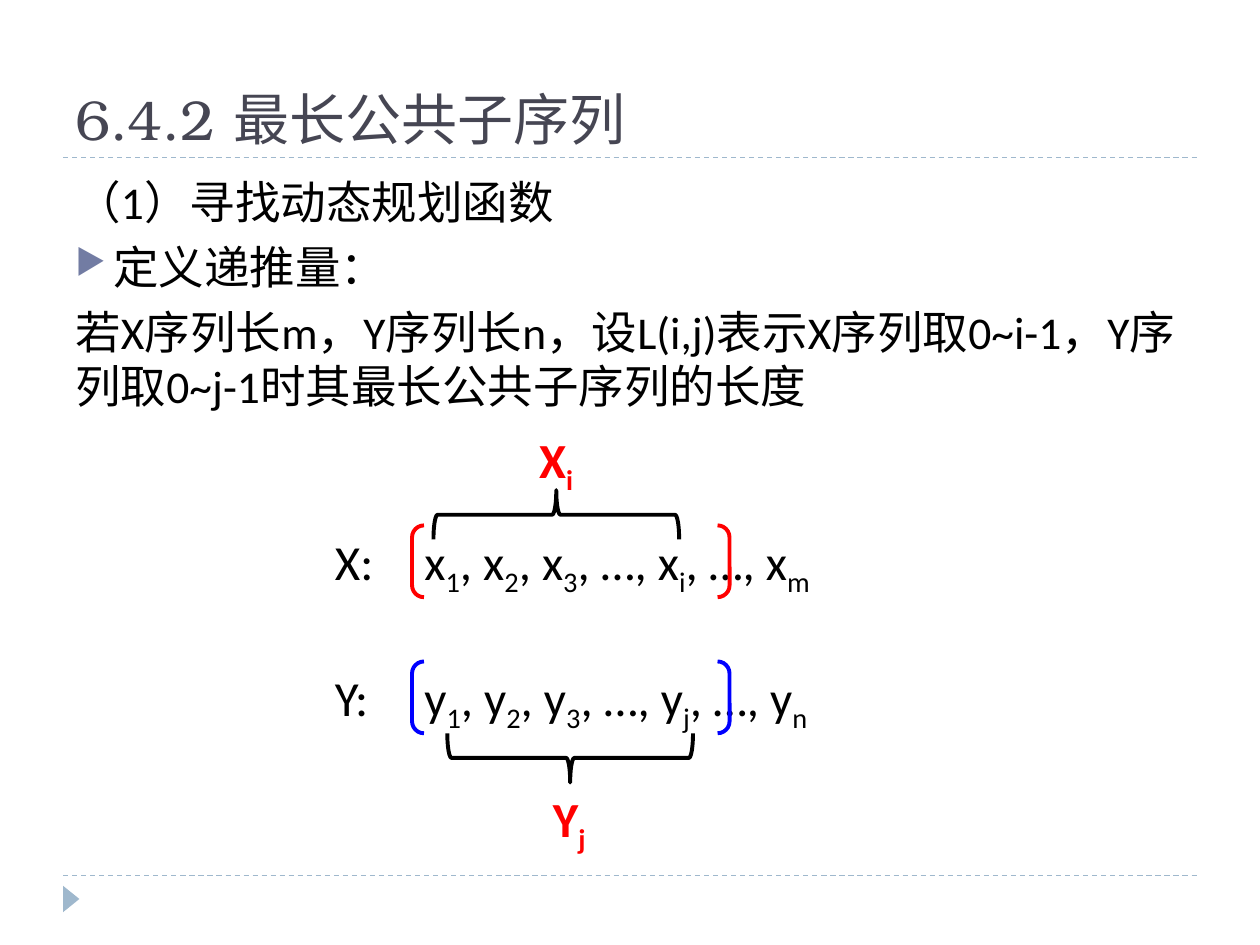
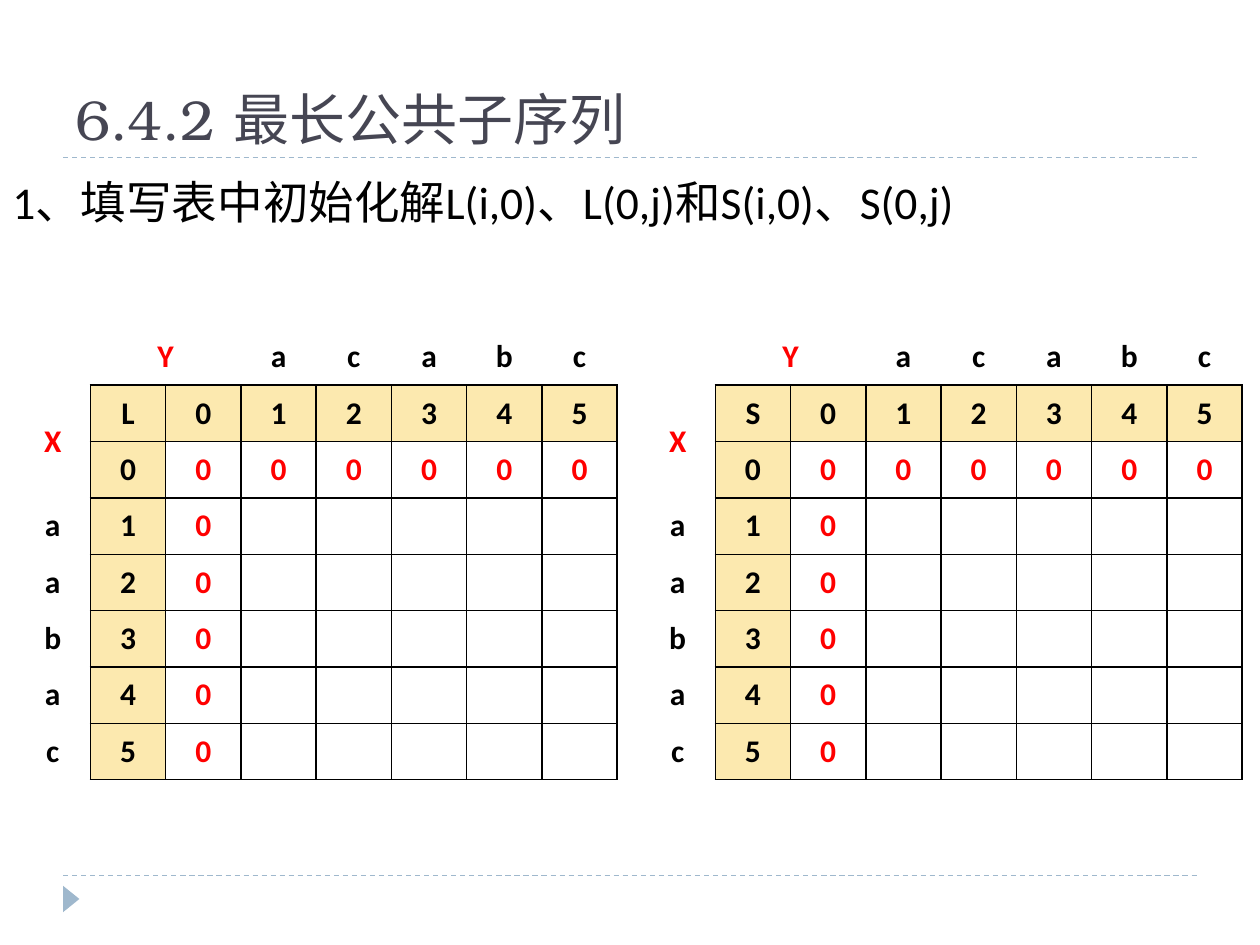
from lxml.etree import SubElement
from pptx import Presentation
from pptx.dml.color import RGBColor
from pptx.enum.dml import MSO_LINE
from pptx.enum.shapes import MSO_CONNECTOR, MSO_SHAPE
from pptx.enum.text import MSO_ANCHOR as Anchor, MSO_AUTO_SIZE as AutoSize, PP_ALIGN as Align
from pptx.oxml.ns import qn
from pptx.util import Inches, Pt

COLUMNS, ROWS = 20, 15
BLACK, WHITE, RED, BLUE = "000000", "FFFFFF", "FF0000", "0000FF"
TITLE_COLOR, BULLET_COLOR, RULE_COLOR, HEADER_FILL = "464653", "727CA3", "9FB8CD", "FCE9AF"

TITLE = {"name": "TeX Gyre Bonum", "size": Pt(32), "color": TITLE_COLOR}
BODY = {"name": "Calibri", "size": Pt(26), "color": BLACK}
FORMULA = {**BODY, "size": Pt(28)}
LABEL = {**FORMULA, "color": RED, "bold": True}
CELL = {**BODY, "size": Pt(18), "bold": True}


def rgb(color):
    return RGBColor.from_string(color)


def set_attributes(target, values):
    for name, value in values.items():
        setattr(target, name, value)


def add_run(paragraph, text, style, subscript=False):
    run = paragraph.add_run()
    run.text = text
    set_attributes(run.font, {key: value for key, value in style.items() if key != "color"})
    run.font.color.rgb = rgb(style["color"])
    if subscript:
        run.font._element.set("baseline", "-25000")


def add_formula(paragraph, text, style):
    """Write text in which an underscore lowers the one letter after it."""
    first, *pieces = text.split("_")
    add_run(paragraph, first, style)
    for piece in pieces:
        add_run(paragraph, piece[0], style, subscript=True)
        if piece[1:]:
            add_run(paragraph, piece[1:], style)


def add_bullet(paragraph):
    properties = paragraph._p.get_or_add_pPr()
    indent = Inches(0.3)
    properties.set("marL", str(indent))
    properties.set("indent", str(-indent))
    color = SubElement(properties, qn("a:buClr"))
    SubElement(color, qn("a:srgbClr"), val=BULLET_COLOR)
    SubElement(properties, qn("a:buSzPct"), val="76000")
    SubElement(properties, qn("a:buChar"), char="▶")


def set_borders(cell, colors):
    """Colour the left, right, top and bottom edges of a cell, in that order."""
    properties = cell._tc.get_or_add_tcPr()
    for side, color in zip("LRTB", colors):
        line = SubElement(properties, qn(f"a:ln{side}"), w=str(Pt(1)))
        fill = SubElement(line, qn("a:solidFill"))
        SubElement(fill, qn("a:srgbClr"), val=color)


class Deck:
    """Holds the shared style and the current slide; lengths are grid columns and rows."""

    def __init__(self):
        self.presentation = Presentation()
        set_attributes(self.presentation, {"slide_width": Inches(10), "slide_height": Inches(7.5)})
        self.slide = None

    def box(self, left, top, width, height):
        column = self.presentation.slide_width / COLUMNS
        row = self.presentation.slide_height / ROWS
        return [round(value) for value in (left * column, top * row, width * column, height * row)]

    def new_slide(self, title):
        self.slide = self.presentation.slides.add_slide(self.presentation.slide_layouts[6])
        for row in (13.9, 2.5):
            self.rule(row)
        self.shape(MSO_SHAPE.ISOSCELES_TRIANGLE, (0.92, 14.14, 0.42, 0.26), rotation=90, fill=RULE_COLOR)
        self.text((1, 0.34, 18, 2.16), [title], TITLE, vertical_anchor=Anchor.BOTTOM)

    def rule(self, row):
        left, top, width, _ = self.box(1, row, 18, 0)
        connector = self.slide.shapes.add_connector(MSO_CONNECTOR.STRAIGHT, left, top, left + width, top)
        set_attributes(connector.line, {"width": Pt(0.75), "dash_style": MSO_LINE.DASH})
        connector.line.color.rgb = rgb(RULE_COLOR)
        SubElement(connector._element.spPr, qn("a:effectLst"))

    def shape(self, kind, place, rotation=0, fill=None, line=None):
        shape = self.slide.shapes.add_shape(kind, *self.box(*place))
        shape.shadow.inherit = False
        shape.rotation = rotation
        if fill:
            shape.fill.solid()
            shape.fill.fore_color.rgb = rgb(fill)
        else:
            shape.fill.background()
        if line:
            shape.line.width = Pt(2.25)
            shape.line.color.rgb = rgb(line)
        else:
            shape.line.fill.background()

    def text(self, place, lines, style, space_before=0, bulleted=(), **frame_format):
        frame = self.slide.shapes.add_textbox(*self.box(*place)).text_frame
        set_attributes(frame, {"word_wrap": True, **frame_format})
        for index, line in enumerate(lines):
            paragraph = frame.add_paragraph() if index else frame.paragraphs[0]
            paragraph.space_before = Pt(space_before)
            if index in bulleted:
                add_bullet(paragraph)
            add_formula(paragraph, line, style)

    def body(self, left, width, lines, bulleted=()):
        self.text((left, 2.66, width, 10.8), lines, BODY, space_before=6, bulleted=bulleted)

    def formula(self, left, top, width, text, style=FORMULA):
        self.text((left, top, width, 1.14), [text], style, word_wrap=False,
                  auto_size=AutoSize.SHAPE_TO_FIT_TEXT)

    def lcs_table(self, left, corner, across, down):
        """Draw an empty table with zeros in its first row and column."""
        size = len(across) + 3
        place = self.box(left, 5.22, 9.56, 7.16)
        frame = self.slide.shapes.add_table(size, size, *place)
        table = frame.table
        set_attributes(table, {"first_row": False, "horz_banding": False})
        indices = [str(index) for index in range(size - 2)]
        grid = [["", "Y", "", *across],
                ["X", corner, *indices],
                ["", *("0" * (size - 1))]]
        grid += [[letter, index, "0"] + [""] * len(across) for letter, index in zip(down, indices[1:])]
        for row, texts in enumerate(grid):
            for column, text in enumerate(texts):
                self.table_cell(table.cell(row, column), row, column, text)
        table.cell(0, 1).merge(table.cell(0, 2))
        table.cell(1, 0).merge(table.cell(2, 0))

    def table_cell(self, cell, row, column, text):
        outside = row == 0 or column == 0
        header = not outside and (row == 1 or column == 1)
        right = BLACK if row else WHITE
        bottom = BLACK if column else WHITE
        set_borders(cell, (WHITE, right, WHITE, bottom) if outside else [BLACK] * 4)
        cell.fill.solid()
        cell.fill.fore_color.rgb = rgb(HEADER_FILL if header else WHITE)
        side, edge = Inches(0.08), Inches(0.04)
        set_attributes(cell, {"vertical_anchor": Anchor.MIDDLE, "margin_left": side, "margin_right": side,
                              "margin_top": edge, "margin_bottom": edge})
        paragraph = cell.text_frame.paragraphs[0]
        paragraph.alignment = Align.CENTER
        if text:
            is_red = text in "XY" or not (outside or header)
            add_run(paragraph, text, {**CELL, "color": RED if is_red else BLACK})
        else:
            paragraph.font.size = CELL["size"]


def build_definition_slide(deck, title):
    deck.new_slide(title)
    deck.body(1, 18, ["（1）寻找动态规划函数", "定义递推量：",
                      "若X序列长m，Y序列长n，设L(i,j)表示X序列取0~i-1，Y序列取0~j-1时其最长公共子序列的长度"],
              bulleted=[1])
    sequences = [("X:", 1.04, "x_1, x_2, x_3, …, x_i, …, x_m", 8.34, RED),
                 ("Y:", 0.96, "y_1, y_2, y_3, …, y_j, …, y_n", 10.5, BLUE)]
    for name, name_width, terms, top, color in sequences:
        deck.formula(6.54, top, 7, terms)
        deck.formula(5.12, top, name_width, name)
        deck.shape(MSO_SHAPE.DOUBLE_BRACKET, (6.54, top, 5.04, 1.14), line=color)
    prefixes = [("X_i", 8.36, 6.72, 8.44, 6.22, 270), ("Y_j", 8.58, 12.42, 8.66, 10.08, 90)]
    for name, left, top, brace_left, brace_top, rotation in prefixes:
        deck.formula(left, top, 0.96, name, LABEL)
        deck.shape(MSO_SHAPE.RIGHT_BRACE, (brace_left, brace_top, 0.78, 3.9), rotation, line=BLACK)


def build_table_slide(deck, title):
    deck.new_slide(title)
    deck.body(0, 20, ["1、填写表中初始化解L(i,0)、L(0,j)和S(i,0)、S(0,j)"])
    for left, corner in ((0.24, "L"), (10.16, "S")):
        deck.lcs_table(left, corner, across="acabc", down="aabac")


def main():
    deck = Deck()
    title = "6.4.2 最长公共子序列"
    build_definition_slide(deck, title)
    build_table_slide(deck, title)
    deck.presentation.save("out.pptx")


if __name__ == "__main__":
    main()
